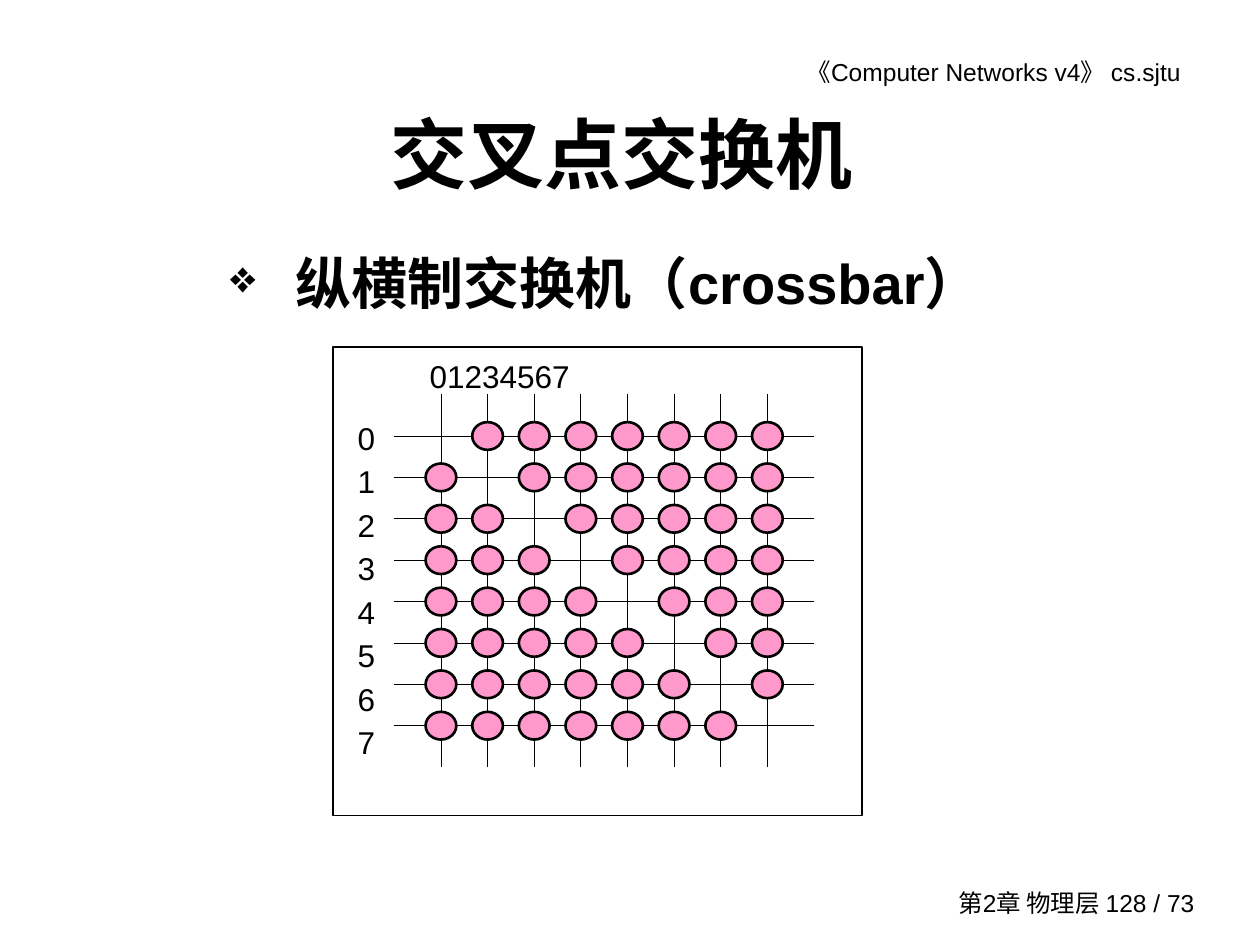
from lxml.etree import SubElement
from pptx import Presentation
from pptx.dml.color import RGBColor
from pptx.enum.shapes import MSO_CONNECTOR, MSO_SHAPE
from pptx.enum.text import MSO_ANCHOR, PP_ALIGN
from pptx.oxml.ns import qn
from pptx.util import Cm, Pt

COLORS = {"ink": "000000", "crosspoint": "FF99CC"}
CJK_FONT = "Noto Sans CJK SC"
PORTS = 8


def write_text(shape, text, size=18, font="Arial", bold=False, align=PP_ALIGN.LEFT,
               anchor=MSO_ANCHOR.TOP, line_spacing=None, bullet=None):
    frame = shape.text_frame
    frame.word_wrap = True
    frame.vertical_anchor = anchor
    frame.margin_left = frame.margin_right = Cm(0.25)
    frame.margin_top = frame.margin_bottom = Cm(0.13)
    paragraph = frame.paragraphs[0]
    paragraph.alignment = align
    paragraph.space_before = Pt(0)
    if line_spacing:
        paragraph.line_spacing = line_spacing
    if bullet:
        properties = paragraph._p.get_or_add_pPr()
        properties.set("marL", str(Cm(1.32)))
        properties.set("indent", str(-Cm(1.32)))
        SubElement(properties, qn("a:buSzPct"), val="80000")
        SubElement(properties, qn("a:buChar"), char=bullet)
    run = paragraph.add_run()
    run.text = text
    run.font.size = Pt(size)
    run.font.bold = bold
    run.font.color.rgb = RGBColor.from_string(COLORS["ink"])
    run.font.name = font
    SubElement(run._r.get_or_add_rPr(), qn("a:ea"), typeface=CJK_FONT)


def add_wire(shapes, x1, y1, x2, y2):
    wire = shapes.add_connector(MSO_CONNECTOR.STRAIGHT, Cm(x1), Cm(y1), Cm(x2), Cm(y2))
    wire.line.color.rgb = RGBColor.from_string(COLORS["ink"])
    wire.line.width = Pt(0.5)
    SubElement(wire._element.spPr, qn("a:effectLst"))


presentation = Presentation()
presentation.slide_width = Cm(25.4)
presentation.slide_height = Cm(19.05)
slide = presentation.slides.add_slide(presentation.slide_layouts[5])

title = slide.shapes.title
title.left, title.top, title.width, title.height = Cm(1.73), Cm(1.7), Cm(21.59), Cm(2.74)
write_text(title, "交叉点交换机", size=44, font=CJK_FONT, bold=True,
           align=PP_ALIGN.CENTER, anchor=MSO_ANCHOR.MIDDLE)

header = slide.shapes.add_textbox(Cm(13.1), Cm(1.02), Cm(10.95), Cm(0.86))
write_text(header, "《Computer Networks v4》 cs.sjtu", size=14, align=PP_ALIGN.RIGHT)

footer = slide.shapes.add_textbox(Cm(18.59), Cm(17.78), Cm(5.74), Cm(0.84))
write_text(footer, "第2章 物理层 128 / 73", size=14, align=PP_ALIGN.RIGHT,
           anchor=MSO_ANCHOR.MIDDLE)

subtitle = slide.shapes.add_textbox(Cm(4.39), Cm(4.88), Cm(16.38), Cm(1.7))
write_text(subtitle, "纵横制交换机（crossbar）", size=32, bold=True, bullet="❖")

crossbar = slide.shapes.add_group_shape().shapes
frame_box = crossbar.add_shape(MSO_SHAPE.RECTANGLE, Cm(6.71), Cm(6.99), Cm(10.67), Cm(9.45))
frame_box.shadow.inherit = False
frame_box.fill.background()
frame_box.line.color.rgb = RGBColor.from_string(COLORS["ink"])
frame_box.line.width = Pt(1)

columns = [8.89 + 0.94 * port for port in range(PORTS)]
rows = [8.79 + 5.84 / 7 * port for port in range(PORTS)]
for y in rows:
    add_wire(crossbar, 7.95, y, 16.41, y)
for x in columns:
    add_wire(crossbar, x, 15.47, x, 7.95)

port_digits = "".join(str(port) for port in range(PORTS))
column_labels = crossbar.add_textbox(Cm(8.41), Cm(7.06), Cm(7.49), Cm(1.02))
write_text(column_labels, port_digits)
row_labels = crossbar.add_textbox(Cm(6.96), Cm(8.2), Cm(0.99), Cm(6.96))
write_text(row_labels, port_digits, line_spacing=1.15)

dot_width, dot_height = 0.62, 0.56
for row, y in enumerate(rows):
    for column, x in enumerate(columns):
        if row == column:
            continue
        dot = crossbar.add_shape(MSO_SHAPE.OVAL, Cm(x - dot_width / 2), Cm(y - dot_height / 2),
                                 Cm(dot_width), Cm(dot_height))
        dot.shadow.inherit = False
        dot.fill.solid()
        dot.fill.fore_color.rgb = RGBColor.from_string(COLORS["crosspoint"])
        dot.line.color.rgb = RGBColor.from_string(COLORS["ink"])
        dot.line.width = Pt(1.5)

presentation.save("out.pptx")
